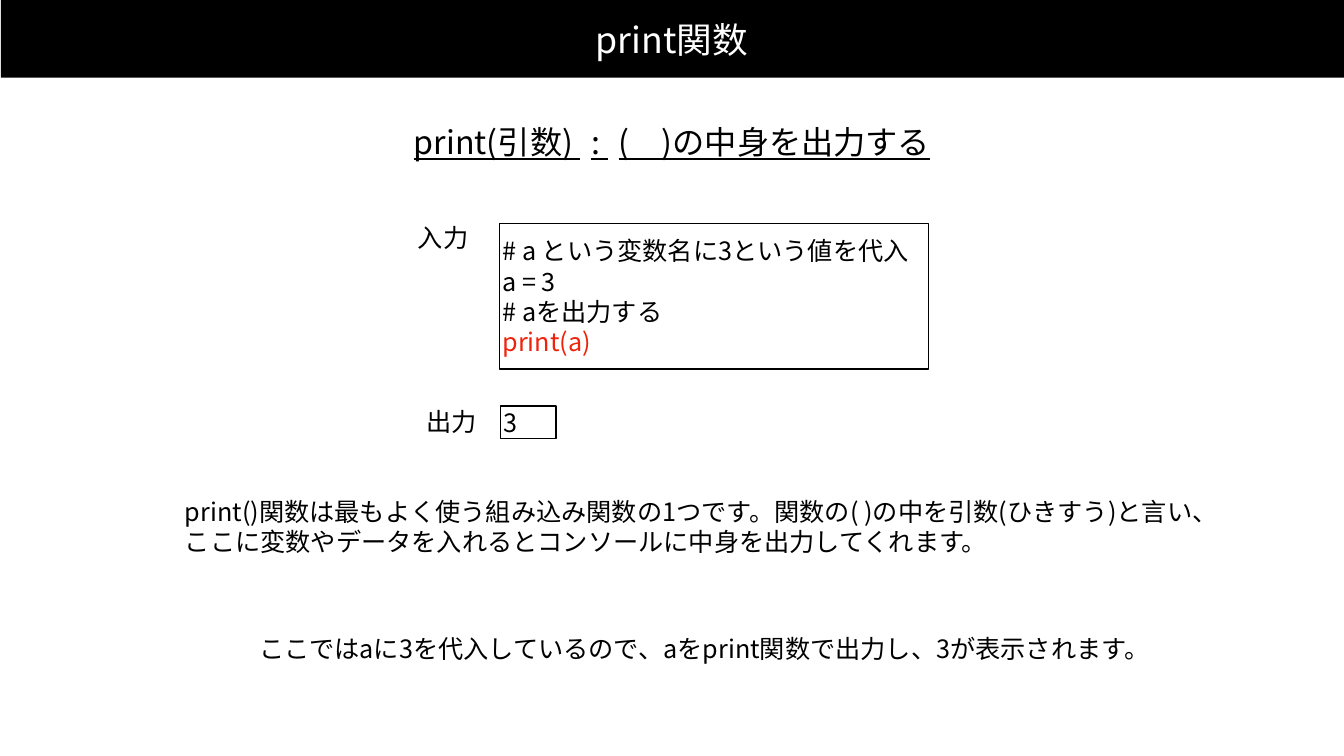
"""Build a slide that explains the print function with code and output."""
from dataclasses import dataclass

from lxml import etree
from pptx import Presentation
from pptx.dml.color import RGBColor
from pptx.enum.shapes import MSO_SHAPE
from pptx.enum.text import MSO_ANCHOR, MSO_AUTO_SIZE, PP_ALIGN
from pptx.oxml.ns import qn
from pptx.util import Inches, Pt

RECT = MSO_SHAPE.RECTANGLE
MIDDLE = MSO_ANCHOR.MIDDLE
FIXED = MSO_AUTO_SIZE.NONE
LEFT, CENTER = PP_ALIGN.LEFT, PP_ALIGN.CENTER


@dataclass(frozen=True)
class Theme:
    """Hold the font, colours and type sizes."""
    font: str = "Noto Sans CJK JP"
    black: str = "000000"
    white: str = "FFFFFF"
    red: str = "EE230C"
    title: int = 51
    head: int = 46
    text: int = 36
    inset: float = 0.06
    line: int = 2


@dataclass(frozen=True)
class Area:
    """Hold a place on the slide in inches."""
    left: float
    top: float
    width: float
    height: float

    def lengths(self) -> tuple:
        """Return the place as lengths."""
        return tuple(map(Inches, (self.left, self.top, self.width, self.height)))


@dataclass(frozen=True)
class Span:
    """Hold a piece of text with its own colour or letter spacing in points."""
    text: str
    color: str = ""
    gap: float = 0


@dataclass(frozen=True)
class Label:
    """Hold a plain text box."""
    area: Area
    text: str
    align: PP_ALIGN = CENTER


@dataclass(frozen=True)
class Panel:
    """Hold an outlined box and its lines."""
    area: Area
    lines: tuple


THEME = Theme()
BAR = Area(0.02, -0.01, 26.67, 1.55)
TITLE = Area(7.32, 0.36, 12.03, 0.83)
HEAD = Area(7.69, 2.42, 11.29, 0.77)
BODY = Area(3.61, 9.77, 21.11, 1.36)

USAGE = (Span("print(引数)"), Span(" ", gap=16), Span(":"),
         Span(" ", gap=16), Span("(　)の中身を出力する"))
ABOUT = (
    "print()関数は最もよく使う組み込み関数の1つです。関数の( )の中を引数(ひきすう)と言い、",
    "ここに変数やデータを入れるとコンソールに中身を出力してくれます。",
)
LABELS = (
    Label(Area(8.23, 4.41, 1.13, 0.61), "入力"),
    Label(Area(8.4, 8.05, 1.13, 0.61), "出力"),
    Label(Area(5.08, 12.56, 18.18, 0.61),
          "ここではaに3を代入しているので、aをprint関数で出力し、3が表示されます。", LEFT),
)
PANELS = (
    Panel(Area(9.91, 4.43, 8.52, 2.89),
          ("# a という変数名に3という値を代入", "a = 3", "# aを出力する",
           (Span("print(a)", THEME.red),))),
    Panel(Area(9.93, 8.06, 1.1, 0.64), ("3",)),
)


def write(shape, lines: tuple, *, size: int = THEME.text,
          color: str = THEME.black, align: PP_ALIGN = LEFT,
          under: bool = False) -> None:
    """Fill a shape with formatted paragraphs."""
    frame = shape.text_frame
    frame.word_wrap = True
    frame.auto_size = FIXED
    frame.vertical_anchor = MIDDLE
    inset = Inches(THEME.inset)
    frame.margin_left = frame.margin_right = inset
    frame.margin_top = frame.margin_bottom = inset
    for index, line in enumerate(lines):
        para = frame.add_paragraph() if index else frame.paragraphs[0]
        para.alignment = align
        para.space_before = Pt(0)
        for span in (Span(line),) if isinstance(line, str) else line:
            run = para.add_run()
            run.text = span.text
            font = run.font
            font.name = THEME.font
            font.size = Pt(size)
            font.underline = under
            font.color.rgb = RGBColor.from_string(span.color or color)
            props = run._r.get_or_add_rPr()
            etree.SubElement(props, qn("a:ea"), typeface=THEME.font)
            if span.gap:
                props.set("spc", str(int(span.gap * 100)))


def paint(shape, color: str) -> None:
    """Fill a shape with one colour."""
    shape.fill.solid()
    shape.fill.fore_color.rgb = RGBColor.from_string(color)


def place(shape, area: Area) -> None:
    """Move a placeholder to an area."""
    shape.left, shape.top, shape.width, shape.height = area.lengths()


def draw_bar(slide) -> None:
    """Draw the black band behind the title."""
    bar = slide.shapes.add_shape(RECT, *BAR.lengths())
    bar.shadow.inherit = False
    paint(bar, THEME.black)
    bar.line.fill.background()
    slide.shapes._spTree.insert(2, bar._element)


def draw_label(slide, label: Label) -> None:
    """Draw a plain text box."""
    box = slide.shapes.add_textbox(*label.area.lengths())
    write(box, (label.text,), align=label.align)


def draw_panel(slide, panel: Panel) -> None:
    """Draw an outlined box with text."""
    box = slide.shapes.add_shape(RECT, *panel.area.lengths())
    box.shadow.inherit = False
    box.fill.background()
    box.line.color.rgb = RGBColor.from_string(THEME.black)
    box.line.width = Pt(THEME.line)
    write(box, panel.lines)


def main() -> None:
    """Build and save the slide."""
    deck = Presentation()
    deck.slide_width, deck.slide_height = Inches(26.67), Inches(15)
    slide = deck.slides.add_slide(deck.slide_layouts[1])
    draw_bar(slide)

    title, body = slide.placeholders
    place(title, TITLE)
    paint(title, THEME.black)
    write(title, ("print関数",), size=THEME.title, color=THEME.white, align=CENTER)

    place(body, BODY)
    for para in ABOUT[1:]:
        body.text_frame.add_paragraph()
    body.text_frame.clear()
    write(body, ABOUT)
    for para in body.text_frame.paragraphs:
        props = para._p.get_or_add_pPr()
        props.set("marL", "0")
        props.set("indent", "0")
        etree.SubElement(props, qn("a:buNone"))

    head = slide.shapes.add_textbox(*HEAD.lengths())
    write(head, (USAGE,), size=THEME.head, align=CENTER, under=True)
    for label in LABELS:
        draw_label(slide, label)
    for panel in PANELS:
        draw_panel(slide, panel)
    deck.save("out.pptx")


if __name__ == "__main__":
    main()
